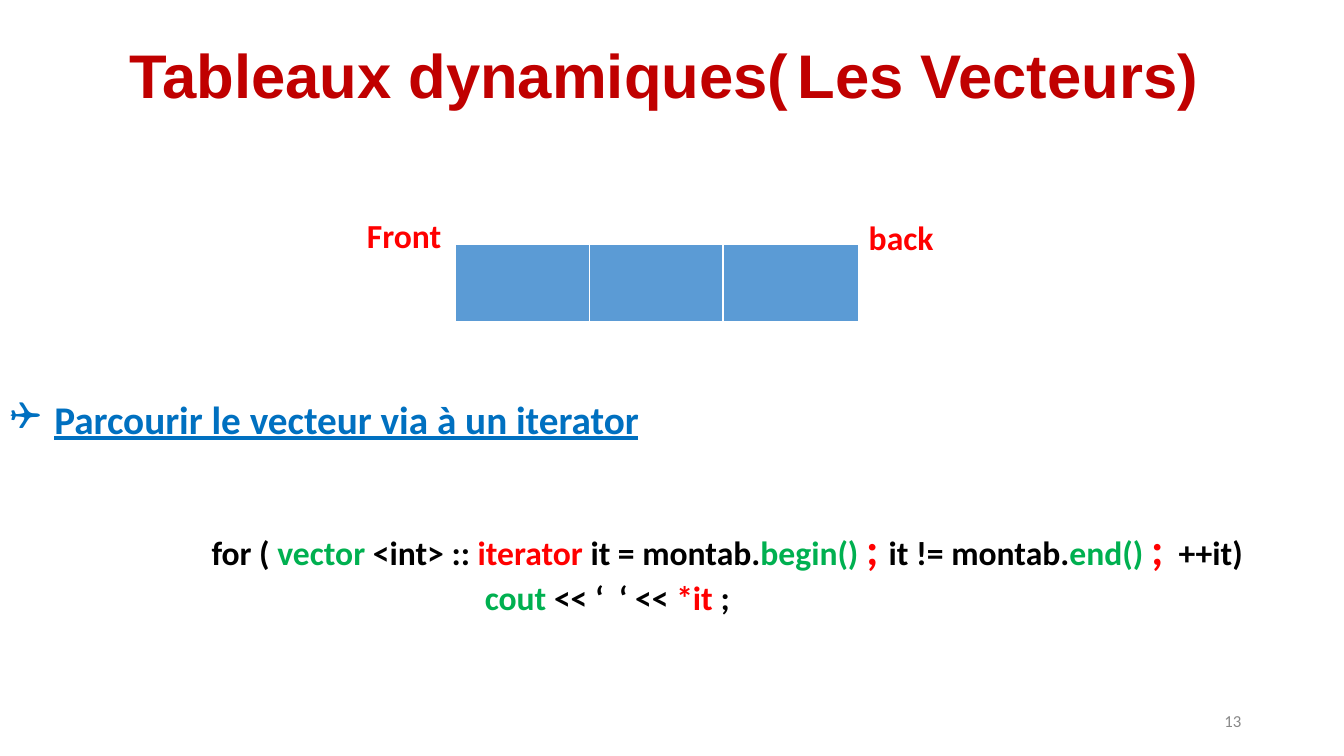
from lxml import etree
from pptx import Presentation
from pptx.dml.color import RGBColor
from pptx.enum.text import MSO_ANCHOR, PP_ALIGN
from pptx.oxml.ns import qn
from pptx.util import Inches, Pt

LEFT, CENTER, RIGHT = PP_ALIGN.LEFT, PP_ALIGN.CENTER, PP_ALIGN.RIGHT
TOP, MIDDLE = MSO_ANCHOR.TOP, MSO_ANCHOR.MIDDLE

COLORS = {
    "title": "C00000",
    "heading": "0070C0",
    "code": "000000",
    "library": "00B050",
    "accent": "FF0000",
    "cell": "5B9BD5",
    "border": "FFFFFF",
    "number": "888888",
}


class VectorSlide:
    """Places elements on one slide; areas are (left, top, width, height) in percent."""

    def __init__(self, prs, font="Calibri"):
        self.size = prs.slide_width, prs.slide_height
        self.slide = prs.slides.add_slide(prs.slide_layouts[6])
        self.font = font

    def place(self, area):
        return [round(share / 100 * self.size[i % 2]) for i, share in enumerate(area)]

    def style(self, run, color, size=24, bold=True, underline=False, font=None):
        run.font.name = font or self.font
        run.font.size = Pt(size)
        run.font.bold = bold
        run.font.underline = underline
        run.font.color.rgb = RGBColor.from_string(COLORS[color])

    def text(self, area, lines, align=LEFT, anchor=TOP, spacing=1.0, **base):
        """Each line is a list of (words, color, style changes) pieces."""
        frame = self.slide.shapes.add_textbox(*self.place(area)).text_frame
        frame.word_wrap = True
        frame.vertical_anchor = anchor
        for i, pieces in enumerate(lines):
            paragraph = frame.add_paragraph() if i else frame.paragraphs[0]
            paragraph.alignment = align
            paragraph.line_spacing = spacing
            for words, color, *changes in pieces:
                run = paragraph.add_run()
                run.text = words
                self.style(run, color, **{**base, **(changes[0] if changes else {})})
        return frame

    def indent(self, paragraph, margin, before, hang=0):
        paragraph.space_before = Pt(before)
        props = paragraph._p.get_or_add_pPr()
        props.set("marL", str(Inches(margin)))
        props.set("indent", str(-Inches(hang)))

    def bullet(self, paragraph, symbol, color):
        props = paragraph._p.get_or_add_pPr()
        tint = etree.SubElement(props, qn("a:buClr"))
        etree.SubElement(tint, qn("a:srgbClr"), val=COLORS[color])
        etree.SubElement(props, qn("a:buFont"), typeface="Wingdings", charset="2")
        etree.SubElement(props, qn("a:buChar"), char=symbol)

    def box(self, area):
        """One element of the vector, as a table of a single cell."""
        cell = self.slide.shapes.add_table(1, 1, *self.place(area)).table.cell(0, 0)
        props = cell._tc.get_or_add_tcPr()
        for side, width in (("L", 1), ("R", 1), ("T", 1), ("B", 3)):
            line = etree.SubElement(props, qn(f"a:ln{side}"), w=str(Pt(width)))
            fill = etree.SubElement(line, qn("a:solidFill"))
            etree.SubElement(fill, qn("a:srgbClr"), val=COLORS["border"])
        cell.fill.solid()
        cell.fill.fore_color.rgb = RGBColor.from_string(COLORS["cell"])


def main():
    prs = Presentation()
    prs.slide_width, prs.slide_height = Inches(13.33), Inches(7.5)
    page = VectorSlide(prs)

    title = [
        ("Tableaux dynamiques(", "title"),
        (" ", "code", {"size": 20, "font": "TeX Gyre Schola"}),
        ("Les Vecteurs) ", "title"),
    ]
    banner = page.text(
        (6.9, 5.33, 86.27, 19.33), [title], CENTER, MIDDLE, 0.9, size=44, font="Arial"
    )
    banner.margin_bottom = Inches(0.73)

    page.text((70.6, 92.67, 22.5, 5.33), [[("13", "number")]], RIGHT, MIDDLE, size=12, bold=False)

    heading = [("Parcourir le vecteur via à un iterator", "heading", {"size": 28, "underline": True})]
    separator = {"size": 32}
    loop = [
        ("for ( ", "code"),
        ("vector ", "library"),
        ("<int> :: ", "code"),
        ("iterator", "accent"),
        (" it = montab.", "code"),
        ("begin() ", "library"),
        ("; ", "accent", separator),
        ("it != montab.", "code"),
        ("end() ", "library"),
        (";", "accent", separator),
        ("  ++it)", "code"),
    ]
    output = [
        ("cout", "library"),
        (" << ‘  ‘ << ", "code"),
        ("*it ", "accent"),
        (";", "code"),
    ]
    body = page.text((0, 22, 100, 78), [heading, loop, output], spacing=0.9)
    body.margin_top = Inches(2.32)
    section, loop_line, output_line = body.paragraphs
    page.indent(section, 0.44, 0, hang=0.44)
    page.bullet(section, "❑", "heading")
    page.indent(loop_line, 2, 60)
    page.indent(output_line, 4.71, 5)

    for position in range(3):
        page.box((33.9 + 9.95 * position, 32.27, 10.05, 10.4))
    for end, left, top in (("Front", 26.56, 27.8), ("back", 63.9, 28)):
        page.text((left, top, 8.78, 6.67), [[(end, "accent")]])

    prs.save("out.pptx")


if __name__ == "__main__":
    main()
